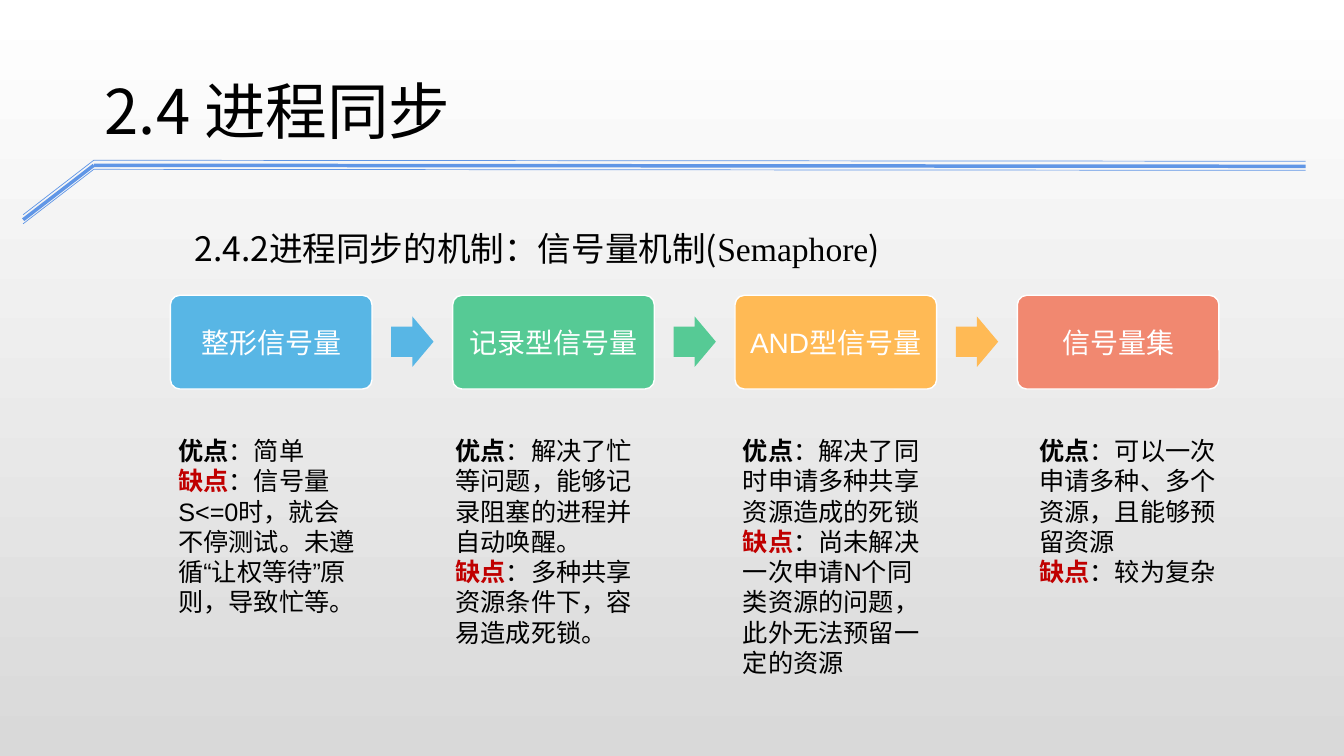
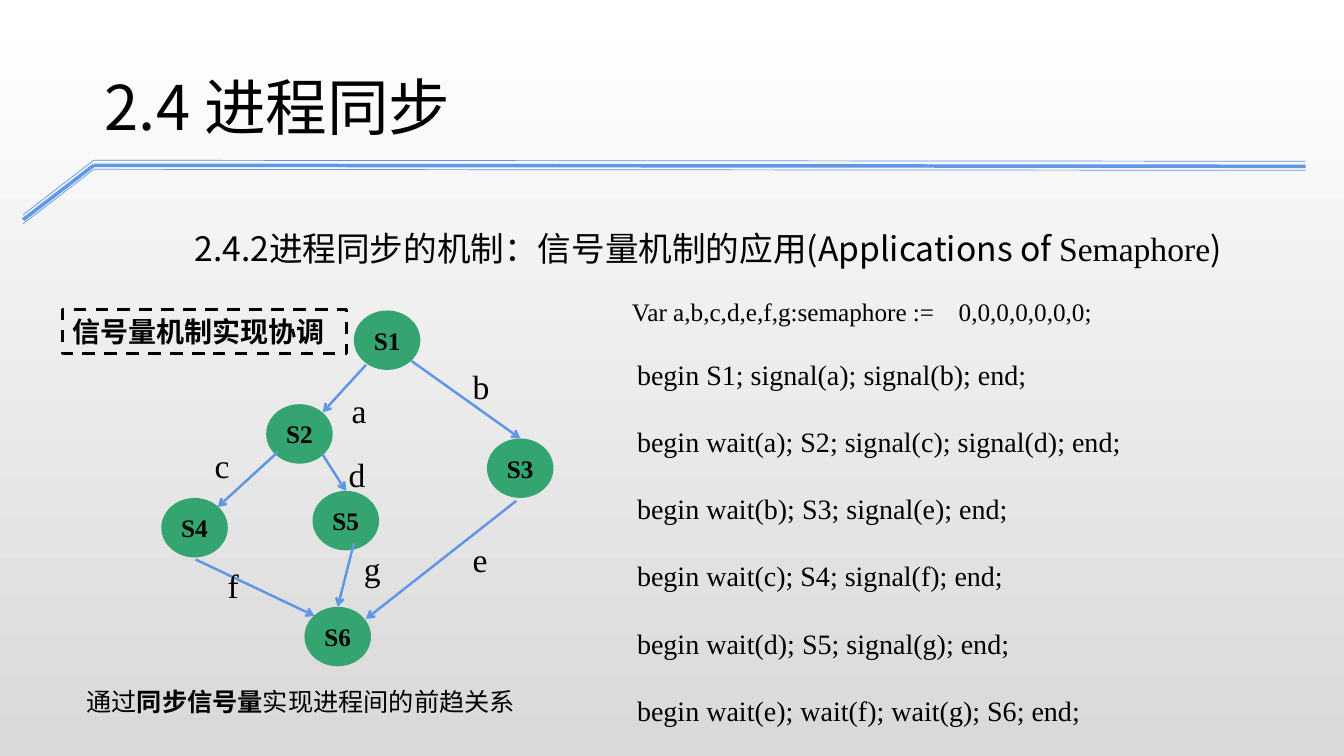
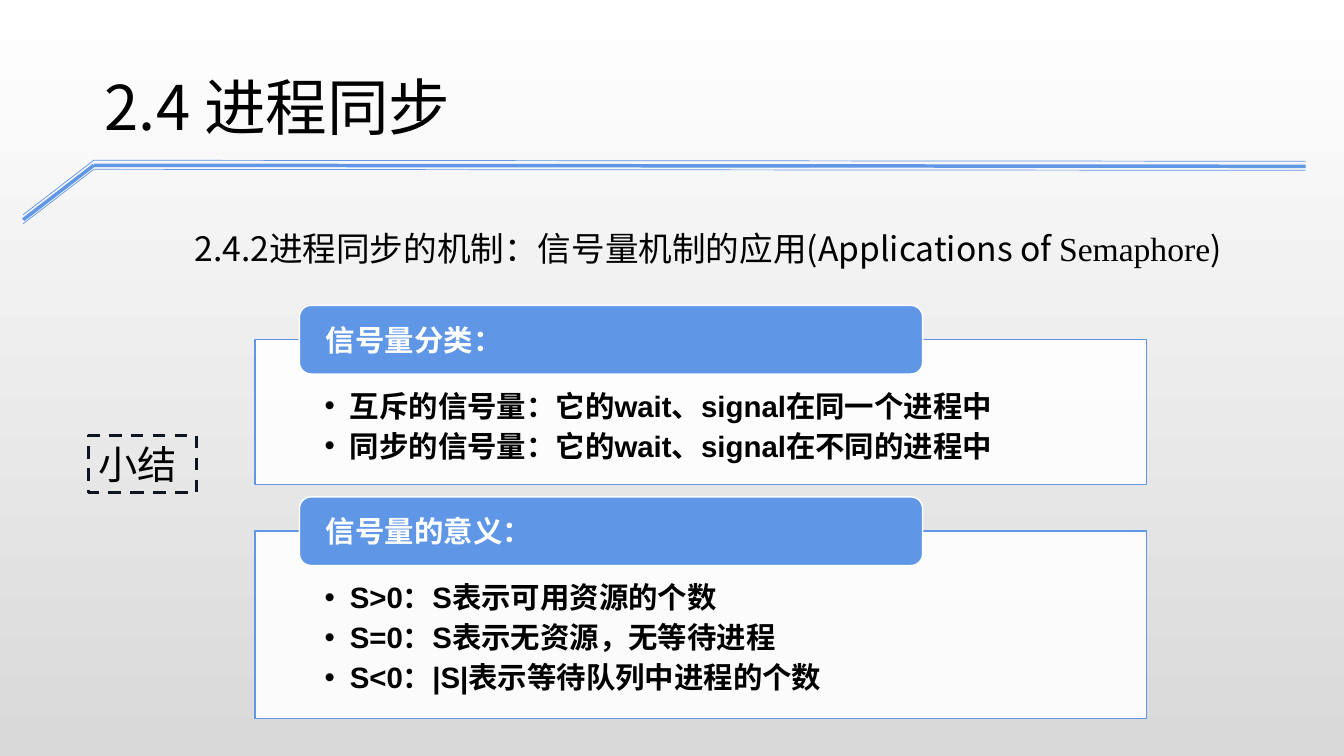
from lxml.etree import SubElement
from pptx import Presentation
from pptx.dml.color import RGBColor
from pptx.enum.dml import MSO_LINE
from pptx.enum.lang import MSO_LANGUAGE_ID
from pptx.enum.shapes import MSO_CONNECTOR, MSO_SHAPE
from pptx.enum.text import MSO_ANCHOR, PP_ALIGN
from pptx.oxml.ns import qn
from pptx.util import Emu, Pt

EMU_PER_PX = 9144
BLUE, BLACK, WHITE, RED, GREEN = "6096E6", "000000", "FFFFFF", "C00000", "34A471"
SANS, CJK, SERIF = "Arial", "Noto Sans CJK JP", "Times New Roman"
MIDDLE = {"vertical_anchor": MSO_ANCHOR.MIDDLE}
CENTER = {"alignment": PP_ALIGN.CENTER}


def px(n):
    return Emu(round(n * EMU_PER_PX))


def rgb(value):
    return RGBColor.from_string(value)


def set_format(obj, values):
    for name, value in values.items():
        setattr(obj, name, value)


def margins(left, top, right, bottom):
    names = ("margin_left", "margin_top", "margin_right", "margin_bottom")
    return dict(zip(names, map(px, (left, top, right, bottom))))


def style_run(r, font, size, color=BLACK, bold=False):
    set_format(r.font, {"name": font, "size": Pt(size), "bold": bold,
                        "language_id": MSO_LANGUAGE_ID.SIMPLIFIED_CHINESE})
    r.font.color.rgb = rgb(color)
    SubElement(r._r.get_or_add_rPr(), qn("a:ea"), typeface=font)


def write(sp, paragraphs, style, frame=None, para=None, indent=None, bullet=None, tab=None):
    tf = sp.text_frame
    set_format(tf, {"word_wrap": True, **(frame or {})})
    for i, runs in enumerate(paragraphs):
        p = tf.paragraphs[0] if i == 0 else tf.add_paragraph()
        set_format(p, para or {})
        pPr = p._p.get_or_add_pPr()
        if indent:
            for name, value in zip(("marL", "indent"), indent):
                pPr.set(name, str(px(value)))
        if bullet:
            SubElement(pPr, qn("a:buFont"), typeface=SANS)
            SubElement(pPr, qn("a:buChar"), char=bullet)
        if tab:
            tabs = SubElement(pPr, qn("a:tabLst"))
            SubElement(tabs, qn("a:tab"), pos=str(px(tab)), algn="l")
        for text, changes in [(runs, {})] if isinstance(runs, str) else runs:
            r = p.add_run()
            r.text = text
            style_run(r, **{**style, **changes})


def add_text(s, box, paragraphs, style, **options):
    sp = s.shapes.add_textbox(*map(px, box))
    write(sp, paragraphs, style, **options)
    return sp


def add_box(s, kind, box, fill=None, line=None, width=1, dash=None, adj=()):
    sp = s.shapes.add_shape(kind, *map(px, box))
    sp.shadow.inherit = False
    if fill:
        sp.fill.solid()
        sp.fill.fore_color.rgb = rgb(fill)
    else:
        sp.fill.background()
    if line:
        sp.line.color.rgb = rgb(line)
        set_format(sp.line, {"width": Pt(width), "dash_style": dash})
    else:
        sp.line.fill.background()
    for i, value in enumerate(adj):
        sp.adjustments[i] = value
    return sp


def add_line(s, start, end, width, arrow=False, target=None):
    cx = s.shapes.add_connector(MSO_CONNECTOR.STRAIGHT, *map(px, (*start, *end)))
    cx.line.color.rgb = rgb(BLUE)
    cx.line.width = Pt(width)
    spPr = cx._element.spPr
    if arrow:
        SubElement(spPr.find(qn("a:ln")), qn("a:tailEnd"), type="arrow")
    SubElement(spPr, qn("a:effectLst"))
    if target:
        cx.end_connect(target, 0)


def dashed_label(s, box, text, style, color=BLACK):
    sp = add_box(s, MSO_SHAPE.RECTANGLE, box, None, color, 2.25, MSO_LINE.DASH)
    write(sp, [text], style, MIDDLE, {"alignment": PP_ALIGN.LEFT})


def add_background(master):
    fill = master.background.fill
    fill.gradient()
    fill.gradient_angle = 270
    for stop, color in zip(fill.gradient_stops, (WHITE, "D9D9D9")):
        stop.color.rgb = rgb(color)


def new_slide(prs, topic, title_top):
    s = prs.slides.add_slide(prs.slide_layouts[6])
    for drop, width in ((0, 0.5), (5, 2.5), (9, 0.5)):
        bend = (93, 159 + drop)
        add_line(s, (23, 213 + drop), bend, width)
        add_line(s, bend, (1295, 160 + drop), width)
    heading = [("2.4.2进程同步的机制：" + topic, {}), ("Semaphore", {"font": SERIF}), (")", {})]
    add_text(s, (183, 205, 1145, 71), [heading], {"font": CJK, "size": 24},
             frame=MIDDLE, para={"line_spacing": 1.3})
    add_text(s, (94, title_top, 952, 84), ["2.4 进程同步"], {"font": CJK, "size": 44}, frame=MIDDLE)
    return s


def mechanism_flow(s, left, top):
    steps = (("整形信号量", "58B6E5"), ("记录型信号量", "56CA95"),
             ("AND型信号量", "FFBA55"), ("信号量集", "F18870"))
    for i, (name, color) in enumerate(steps):
        x = left + 280 * i
        card = add_box(s, MSO_SHAPE.ROUNDED_RECTANGLE, (x, top, 200, 93), color, WHITE, adj=(0.1,))
        write(card, [name], {"font": SANS, "size": 20, "color": WHITE},
              {**MIDDLE, **margins(8, 8, 8, 8)}, CENTER)
        if i < len(steps) - 1:
            add_box(s, MSO_SHAPE.RIGHT_ARROW, (x + 219, top + 21, 42, 50), color, adj=(0.6, 0.5))


def pros_and_cons(s, top):
    columns = (
        (159, 210, 192, "简单", "信号量S<=0时，就会不停测试。未遵循“让权等待”原则，导致忙等。"),
        (434, 219, 222, "解决了忙等问题，能够记录阻塞的进程并自动唤醒。", "多种共享资源条件下，容易造成死锁。"),
        (719, 213, 252, "解决了同时申请多种共享资源造成的死锁",
         "尚未解决一次申请N个同类资源的问题，此外无法预留一定的资源"),
        (1013, 209, 161, "可以一次申请多种、多个资源，且能够预留资源", "较为复杂"),
    )
    for x, width, height, pro, con in columns:
        lines = [[("优点", {"bold": True}), ("：" + pro, {})],
                 [("缺点", {"bold": True, "color": RED}), ("：" + con, {})]]
        add_text(s, (x, top, width, height), lines, {"font": SANS, "size": 18},
                 para={"line_spacing": Pt(21.6)}, indent=(8, 0))


def precedence_graph(s, left, top):
    def at(x, y):
        return left + x, top + y

    places = {"S1": (191, 0), "S2": (104, 93), "S3": (323, 127),
              "S4": (0, 186), "S5": (150, 179), "S6": (142, 294)}
    nodes = {}
    for name, place in places.items():
        nodes[name] = add_box(s, MSO_SHAPE.OVAL, (*at(*place), 66, 59), GREEN)
        write(nodes[name], [name], {"font": SERIF, "size": 18, "bold": True},
              {**MIDDLE, "word_wrap": False}, CENTER)
    edges = (
        ("a", (203, 54), (160, 101), (179, 74), None),
        ("b", (248, 50), (356, 127), (299, 50), "S3"),
        ("c", (116, 140), (56, 195), (43, 128), None),
        ("d", (160, 143), (183, 179), (176, 137), "S5"),
        ("e", (352, 189), (203, 306), (299, 222), None),
        ("f", (34, 247), (152, 303), (56, 248), None),
        ("g", (191, 231), (176, 294), (191, 231), "S6"),
    )
    for name, start, end, label, target in edges:
        add_line(s, at(*start), at(*end), 1.75, True, nodes.get(target))
        add_text(s, (*at(*label), 37, 50), [name], {"font": SERIF, "size": 24})


def semaphore_code(s, left, top):
    add_text(s, (left, top, 716, 40), ["Var a,b,c,d,e,f,g:semaphore :=\t0,0,0,0,0,0,0;"],
             {"font": SERIF, "size": 18}, tab=324)
    lines = ("S1; signal(a); signal(b);", "wait(a); S2; signal(c); signal(d);",
             "wait(b); S3; signal(e);", "wait(c); S4; signal(f);",
             "wait(d); S5; signal(g);", "wait(e); wait(f); wait(g); S6;")
    add_text(s, (left + 5, top + 62, 667, 380), [f"begin {line} end;" for line in lines],
             {"font": SERIF, "size": 20}, para={"line_spacing": Pt(23), "space_after": Pt(25)})


def summary_panel(s, left, top, height, title, points):
    body = add_box(s, MSO_SHAPE.RECTANGLE, (left, top + 34, 884, height), WHITE, BLUE)
    color = body._element.spPr.find(qn("a:solidFill")).find(qn("a:srgbClr"))
    SubElement(color, qn("a:alpha"), val="90000")
    style = {"font": SANS, "size": 21, "bold": True}
    write(body, points, style, {"vertical_anchor": MSO_ANCHOR.TOP, **margins(69, 48, 69, 16)},
          {"alignment": PP_ALIGN.LEFT, "line_spacing": Pt(25.2), "space_after": Pt(3.3)},
          (25, -25), "•")
    tab = add_box(s, MSO_SHAPE.ROUNDED_RECTANGLE, (left + 44, top, 618, 68), BLUE, WHITE)
    write(tab, [title], {**style, "color": WHITE}, {**MIDDLE, **margins(23, 0, 23, 0)},
          {"alignment": PP_ALIGN.LEFT})


def main():
    prs = Presentation()
    set_format(prs, {"slide_width": px(1333), "slide_height": px(750)})
    add_background(prs.slide_master)
    applications = "信号量机制的应用(Applications of "

    s = new_slide(prs, "信号量机制(", 67)
    mechanism_flow(s, 169, 293)
    pros_and_cons(s, 427)

    s = new_slide(prs, applications, 63)
    dashed_label(s, (62, 307, 282, 44), "信号量机制实现协调", {"font": SANS, "size": 20, "bold": True})
    precedence_graph(s, 160, 308)
    caption = [("通过", {}), ("同步信号量", {"bold": True}), ("实现进程间的前趋关系", {})]
    add_text(s, (76, 676, 477, 40), [caption], {"font": SANS, "size": 18}, frame=MIDDLE)
    semaphore_code(s, 617, 289)

    s = new_slide(prs, applications, 63)
    summary_panel(s, 253, 303, 144, "信号量分类：",
                  ["互斥的信号量：它的wait、signal在同一个进程中",
                   "同步的信号量：它的wait、signal在不同的进程中"])
    summary_panel(s, 253, 493, 186, "信号量的意义：",
                  ["S>0：S表示可用资源的个数", "S=0：S表示无资源，无等待进程",
                   "S<0：|S|表示等待队列中进程的个数"])
    dashed_label(s, (88, 432, 107, 57), "小结", {"font": CJK, "size": 28}, "0F1423")

    prs.save("out.pptx")


if __name__ == "__main__":
    main()
